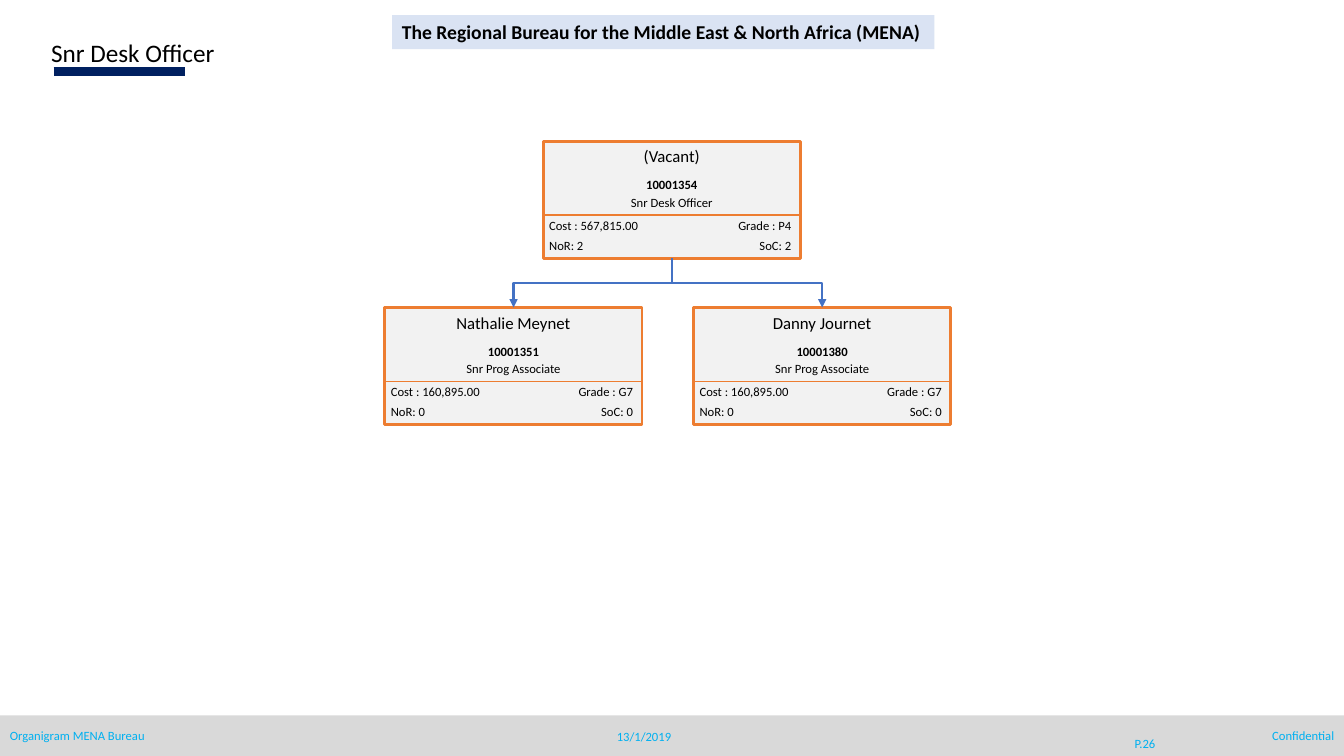
from lxml.etree import SubElement
from pptx import Presentation
from pptx.dml.color import RGBColor
from pptx.enum.shapes import MSO_CONNECTOR, MSO_SHAPE
from pptx.enum.text import MSO_ANCHOR, MSO_AUTO_SIZE, PP_ALIGN
from pptx.oxml.ns import qn
from pptx.util import Cm, Pt

SLIDE_W, SLIDE_H = 33.87, 19.05
CARD_W, CARD_H = 6.48, 2.95
ORANGE, BLUE, CYAN = "ED7D31", "4472C4", "00B0F0"
LEFT, CENTER, RIGHT = PP_ALIGN.LEFT, PP_ALIGN.CENTER, PP_ALIGN.RIGHT


def rgb(value):
    return RGBColor.from_string(value)


def write(sp, text, size=9, color="000000", bold=False, align=LEFT,
          anchor=MSO_ANCHOR.TOP, wrap=True):
    tf = sp.text_frame
    tf.word_wrap = wrap
    tf.auto_size = MSO_AUTO_SIZE.SHAPE_TO_FIT_TEXT
    tf.vertical_anchor = anchor
    p = tf.paragraphs[0]
    p.text = text
    p.alignment = align
    p.font.name = "Calibri"
    p.font.size = Pt(size)
    p.font.bold = bold
    p.font.color.rgb = rgb(color)


def add_text(s, x, y, w, h, text, **style):
    sp = s.shapes.add_textbox(Cm(x), Cm(y), Cm(w), Cm(h))
    write(sp, text, **style)


def add_rect(s, x, y, w, h, fill, line=None):
    sp = s.shapes.add_shape(MSO_SHAPE.RECTANGLE, Cm(x), Cm(y), Cm(w), Cm(h))
    sp.shadow.inherit = False
    sp.fill.solid()
    sp.fill.fore_color.rgb = rgb(fill)
    if line:
        sp.line.color.rgb = rgb(line)
        sp.line.width = Pt(2)
    else:
        sp.line.fill.background()
    return sp


def add_line(s, x1, y1, x2, y2, color, width, kind=MSO_CONNECTOR.STRAIGHT):
    c = s.shapes.add_connector(kind, Cm(x1), Cm(y1), Cm(x2), Cm(y2))
    c.line.color.rgb = rgb(color)
    c.line.width = Pt(width)
    SubElement(c._element.spPr, qn("a:effectLst"))
    return c


def add_header(s, x, y, title, bureau):
    add_line(s, x + 0.31, y + 0.99, x + 3.63, y + 0.99, "002060", 7)
    add_text(s, x, y, 13.46, 1.03, title, size=18)
    banner = add_rect(s, 9.88, 0.38, 13.67, 0.86, "DAE3F3")
    write(banner, bureau, size=14, bold=True, wrap=False)


def add_footer(s, y, title, date, page, label):
    add_rect(s, 0, y, SLIDE_W, SLIDE_H - y, "D9D9D9")
    text_y = y + 0.2
    add_text(s, 0, text_y, 7.82, 0.64, title, color=CYAN)
    add_text(s, SLIDE_W - 7.82, text_y, 7.82, 0.64, label, color=CYAN, align=RIGHT)
    for x, w, h, text in ((15.11, 2.24, 0.64, date), (27.84, 2.03, 1.02, page)):
        add_text(s, x, text_y, w, h, text, color=CYAN, align=CENTER,
                 anchor=MSO_ANCHOR.MIDDLE)


def add_card(s, x, y, name, number, post, cost, grade, nor, soc):
    """Draw one post and return its frame."""
    frame = add_rect(s, x, y, CARD_W, CARD_H, "F2F2F2", ORANGE)
    add_text(s, x, y, CARD_W, 0.77, name, size=12, align=CENTER)
    add_text(s, x, y + 0.78, CARD_W, 0.64, number, bold=True, align=CENTER)
    add_text(s, x, y + 1.22, CARD_W, 0.64, post, align=CENTER)
    add_line(s, x, y + 1.86, x + CARD_W, y + 1.86, ORANGE, 1)
    rows = ((1.81, f"Cost : {cost}", f"Grade : {grade}"),
            (2.3, f"NoR: {nor}", f"SoC: {soc}"))
    for dy, left, right in rows:
        add_text(s, x - 0.1, y + dy, 3.12, 0.64, left)
        add_text(s, x + CARD_W - 3.08, y + dy, 3.1, 0.64, right, align=RIGHT)
    return frame


def add_report_line(s, boss, report):
    """Join boss to report with an elbow arrow that leaves downwards."""
    c = add_line(s, 0, 0, 1, 1, BLUE, 1.5, MSO_CONNECTOR.ELBOW)
    c.begin_connect(boss, 2)
    c.end_connect(report, 0)
    x1, y1 = boss.left + boss.width // 2, boss.top + boss.height
    x2, y2 = report.left + report.width // 2, report.top
    # The elbow runs sideways by default, so it is turned a quarter.
    c.width, c.height = y2 - y1, abs(x2 - x1)
    c.left = (x1 + x2 - c.width) // 2
    c.top = (y1 + y2 - c.height) // 2
    to_right = x2 > x1
    xfrm = c._element.spPr.find(qn("a:xfrm"))
    xfrm.set("rot", "16200000" if to_right else "5400000")
    xfrm.set("flipH", "1" if to_right else "0")
    xfrm.set("flipV", "0")
    SubElement(c.line._get_or_add_ln(), qn("a:tailEnd"), type="triangle")


def add_org_chart(s, x, y):
    boss = add_card(s, x + 3.99, y, "(Vacant)", "10001354", "Snr Desk Officer",
                    "567,815.00", "P4", 2, 2)
    staff = (("Nathalie Meynet", "10001351"), ("Danny Journet", "10001380"))
    reports = [add_card(s, x + i * 7.78, y + 4.19, name, number,
                        "Snr Prog Associate", "160,895.00", "G7", 0, 0)
               for i, (name, number) in enumerate(staff)]
    for report in reports:
        add_report_line(s, boss, report)


def main():
    prs = Presentation()
    prs.slide_width, prs.slide_height = Cm(SLIDE_W), Cm(SLIDE_H)
    s = prs.slides.add_slide(prs.slide_layouts[6])
    add_footer(s, 18.03, "Organigram MENA Bureau", "13/1/2019", "P.26", "Confidential")
    add_header(s, 1.04, 0.81, "Snr Desk Officer",
               "The Regional Bureau for the Middle East & North Africa (MENA)")
    add_org_chart(s, 9.7, 3.56)
    prs.save("out.pptx")


if __name__ == "__main__":
    main()
